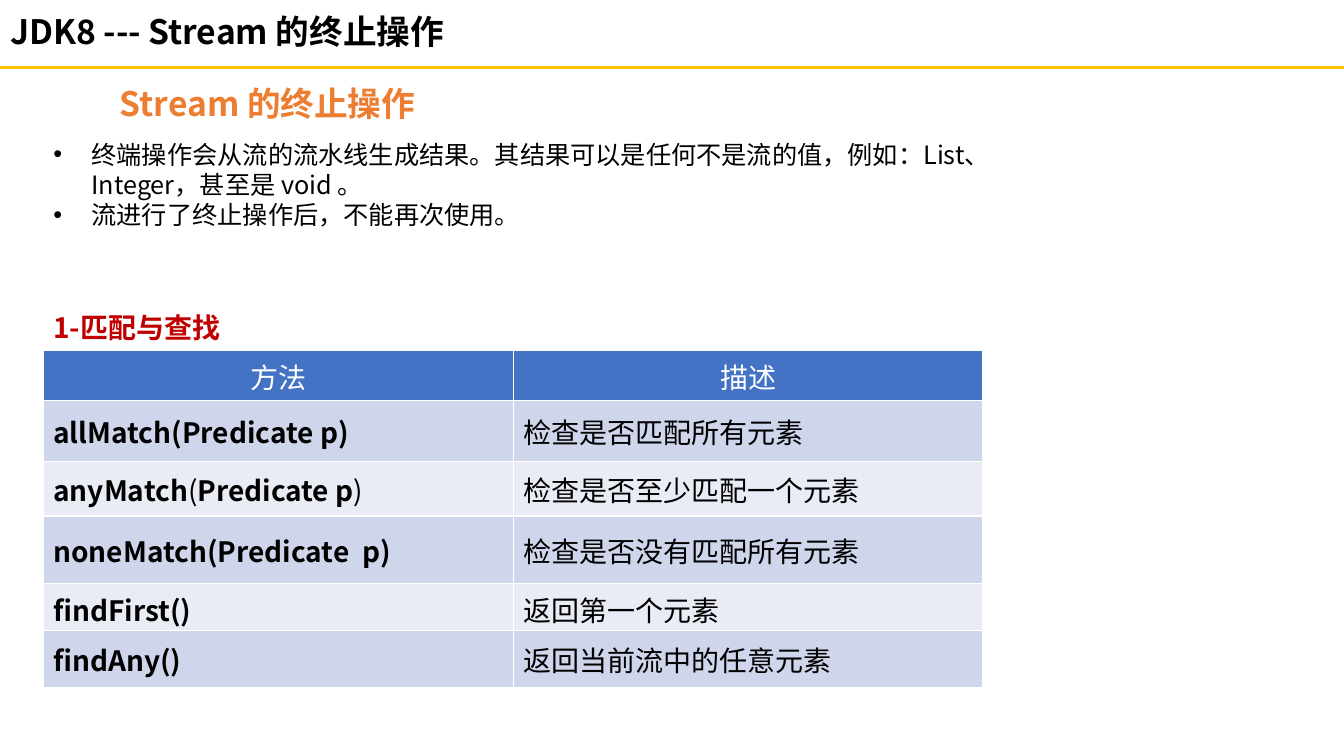
from lxml import etree
from pptx import Presentation
from pptx import util as u
from pptx.dml.color import RGBColor
from pptx.enum import shapes, text
from pptx.oxml.ns import qn

COLORS = {
    "paper": "FFFFFF", "ink": "000000", "rule": "FFC000", "topic": "ED7D31",
    "section": "C00000", "header": "4472C4", "band": "CFD5EA", "light": "E9EBF5",
}
METHODS = [
    ("allMatch(Predicate p)", "检查是否匹配所有元素"),
    ([("anyMatch", True), ("(", False), ("Predicate p", True), (")", False)],
     "检查是否至少匹配一个元素"),
    ("noneMatch(Predicate  p)", "检查是否没有匹配所有元素"),
    ("findFirst()", "返回第一个元素"),
    ("findAny()", "返回当前流中的任意元素"),
]
ROW_HEIGHTS = [0.49, 0.61, 0.54, 0.67, 0.47, 0.56]


def rgb(color):
    return RGBColor.from_string(COLORS[color])


class SlideBuilder:
    font = "Noto Sans CJK SC"

    def __init__(self, deck):
        self.slide = deck.slides.add_slide(deck.slide_layouts[5])
        background = self.slide.background.fill
        background.solid()
        background.fore_color.rgb = rgb("paper")

    def add_runs(self, paragraph, runs, size, color, bold=False, **layout):
        """Add runs, given as one string or as (words, bold) pairs, and format the paragraph."""
        for name, value in layout.items():
            setattr(paragraph, name, value)
        for words, weight in [(runs, bold)] if isinstance(runs, str) else runs:
            run = paragraph.add_run()
            run.text = words
            style = {"name": self.font, "size": u.Pt(size), "bold": weight}
            for name, value in style.items():
                setattr(run.font, name, value)
            run.font.color.rgb = rgb(color)
            east_asian = etree.SubElement(run.font._element, qn("a:ea"))
            east_asian.set("typeface", self.font)

    def title(self, words, box):
        heading = self.slide.shapes.title
        for name, value in zip(("left", "top", "width", "height"), box):
            setattr(heading, name, u.Inches(value))
        frame = heading.text_frame
        frame_format = {"word_wrap": False, "auto_size": text.MSO_AUTO_SIZE.NONE,
                        "vertical_anchor": text.MSO_ANCHOR.TOP}
        for name, value in frame_format.items():
            setattr(frame, name, value)
        self.add_runs(frame.paragraphs[0], words, 24, "ink", True,
                      alignment=text.PP_ALIGN.LEFT)

    def textbox(self, lines, box, size, color, bold=False, bullets=False, **layout):
        frame = self.slide.shapes.add_textbox(*map(u.Inches, box)).text_frame
        frame.word_wrap = True
        for index, line in enumerate(lines):
            paragraph = frame.add_paragraph() if index else frame.paragraphs[0]
            self.add_runs(paragraph, line, size, color, bold, **layout)
            if bullets:
                self.bullet(paragraph)

    def bullet(self, paragraph):
        properties = paragraph._p.get_or_add_pPr()
        properties.set("marL", str(u.Inches(0.38)))
        properties.set("indent", str(u.Inches(-0.38)))
        etree.SubElement(properties, qn("a:buFont")).set("typeface", "Arial")
        etree.SubElement(properties, qn("a:buChar")).set("char", "•")

    def rule(self, y, width):
        line = self.slide.shapes.add_connector(
            shapes.MSO_CONNECTOR.STRAIGHT, 0, u.Inches(y), u.Inches(width), u.Inches(y))
        line.line.color.rgb = rgb("rule")
        line.line.width = u.Pt(1.5)
        etree.SubElement(line._element.spPr, qn("a:effectLst"))

    def cell(self, cell, runs, fill, color, **style):
        cell.vertical_anchor = text.MSO_ANCHOR.MIDDLE
        for side in ("lnL", "lnR", "lnT", "lnB"):
            border = etree.SubElement(cell._tc.get_or_add_tcPr(), qn("a:" + side))
            border.set("w", str(u.Pt(1)))
            paint = etree.SubElement(border, qn("a:solidFill"))
            etree.SubElement(paint, qn("a:srgbClr")).set("val", COLORS["paper"])
        cell.fill.solid()
        cell.fill.fore_color.rgb = rgb(fill)
        self.add_runs(cell.text_frame.paragraphs[0], runs, 20, color, **style)

    def table(self, headings, rows, heights, box):
        grid = self.slide.shapes.add_table(
            len(heights), len(headings), *map(u.Inches, box)).table
        for row, height in zip(grid.rows, heights):
            row.height = u.Inches(height)
        for column, heading in enumerate(headings):
            self.cell(grid.cell(0, column), heading, "header", "paper",
                      alignment=text.PP_ALIGN.CENTER)
        for index, (method, description) in enumerate(rows, 1):
            fill = "band" if index % 2 else "light"
            self.cell(grid.cell(index, 0), method, fill, "ink", bold=True)
            self.cell(grid.cell(index, 1), description, fill, "ink")


def main():
    deck = Presentation()
    deck.slide_width, deck.slide_height = u.Inches(13.33), u.Inches(7.5)
    page = SlideBuilder(deck)
    page.rule(0.67, 13.33)
    page.textbox(["Stream 的终止操作"], (1.09, 0.82, 4.85, 0.87), 24, "topic", True,
                 line_spacing=0.9)
    page.textbox(["1-匹配与查找"], (0.43, 2.81, 7.12, 0.59), 20, "section", True,
                 line_spacing=u.Pt(40))
    page.textbox(
        ["终端操作会从流的流水线生成结果。其结果可以是任何不是流的值，例如：List、Integer，甚至是 void 。",
         "流进行了终止操作后，不能再次使用。"],
        (0.43, 1.33, 9.61, 1.01), 18, "ink", bullets=True)
    page.table(["方法", "描述"], METHODS, ROW_HEIGHTS,
               (0.43, 3.48, 9.32, sum(ROW_HEIGHTS)))
    page.title("JDK8 --- Stream 的终止操作", (0, 0.06, 4.69, 0.5))
    deck.save("out.pptx")


if __name__ == "__main__":
    main()
